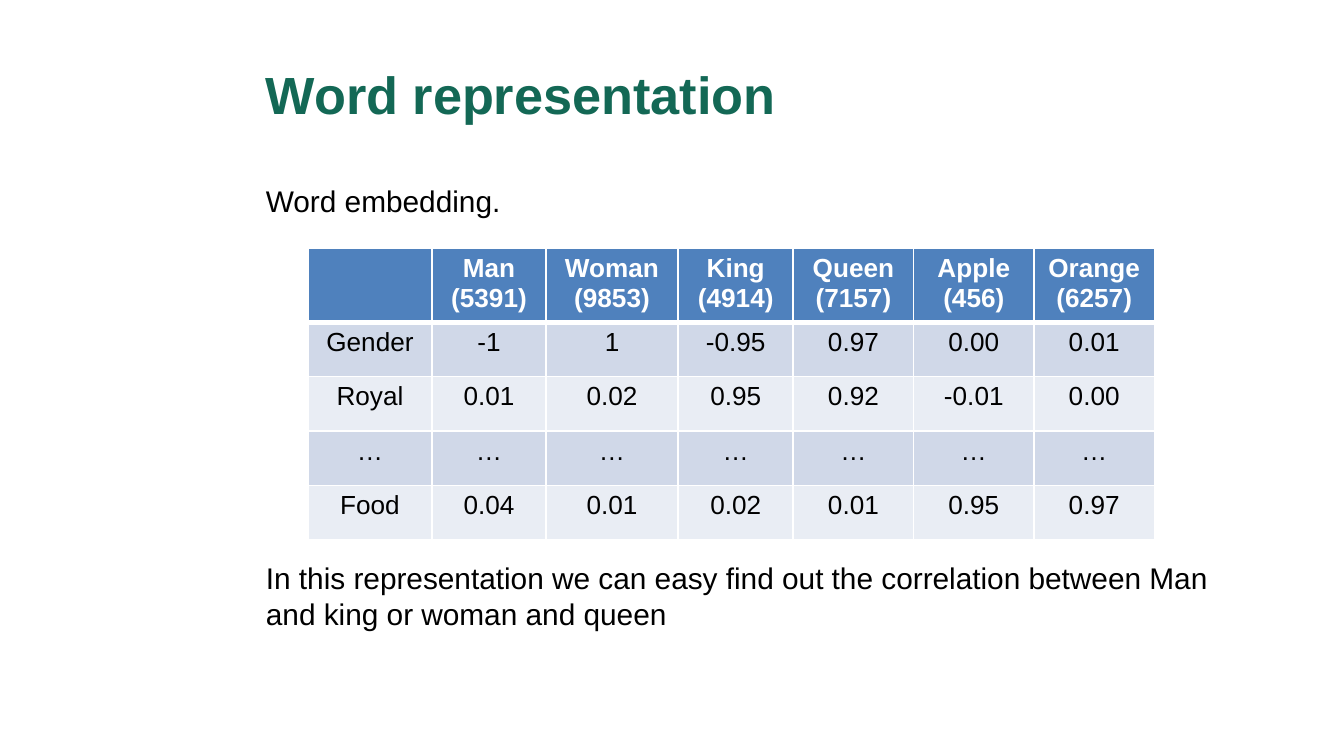
import pptx
import pptx.util
import pptx.dml.color
import pptx.enum.text
import pptx.oxml
import pptx.oxml.ns

FONT = "Arial"
GREEN, BLACK, WHITE = "136855", "000000", "FFFFFF"
HEADER_FILL, BANDS = "4F81BD", ("D0D8E8", "E9EDF4")

# Content
TITLE = "Word representation"
BODY = [  # text, space before in points (the table sits in the gap)
    ("Word embedding.", 1),
    ("In this representation we can easy find out the correlation "
     "between Man and king or woman and queen", 183),
]
ROWS = [
    ["", "Man\n(5391)", "Woman\n(9853)", "King\n(4914)", "Queen\n(7157)",
     "Apple (456)", "Orange (6257)"],
    ["Gender", "-1", "1", "-0.95", "0.97", "0.00", "0.01"],
    ["Royal", "0.01", "0.02", "0.95", "0.92", "-0.01", "0.00"],
    ["…"] * 7,
    ["Food", "0.04", "0.01", "0.02", "0.01", "0.95", "0.97"],
]

# Layout in inches
SLIDE_W = 10
SLIDE_H = SLIDE_W * 9 / 16
LEFT, TEXT_W = 1.88, 7.62
TABLE_LEFT, TABLE_TOP, TABLE_W, TABLE_H = 2.29, 1.85, 6.3, 2.15
COL_SHARES = [93, 85, 99, 86, 90, 90, 90]
COL_WIDTHS = [TABLE_W * share / sum(COL_SHARES) for share in COL_SHARES]
HEADER_H = 0.53
BODY_ROWS = len(ROWS) - 1
ROW_HEIGHTS = [HEADER_H] + [(TABLE_H - HEADER_H) / BODY_ROWS] * BODY_ROWS
CELL_INSET = 0.04

inch, pt = pptx.util.Inches, pptx.util.Pt


def rgb(color):
    return pptx.dml.color.RGBColor.from_string(color)


def style(p, size, color, bold=False):
    p.font.name, p.font.size, p.font.bold = FONT, pt(size), bold
    p.font.color.rgb = rgb(color)


def add_text_box(s, top, height):
    tf = s.shapes.add_textbox(
        inch(LEFT), inch(top), inch(TEXT_W), inch(height)).text_frame
    tf.word_wrap = True
    return tf


def set_borders(cell, **widths):
    tc_pr = cell._tc.get_or_add_tcPr()
    for i, (side, width) in enumerate(widths.items()):
        tc_pr.insert(i, pptx.oxml.parse_xml(
            f'<a:ln{side} {pptx.oxml.ns.nsdecls("a")} w="{pt(width)}">'
            f'<a:solidFill><a:srgbClr val="{WHITE}"/></a:solidFill></a:ln{side}>'))


prs = pptx.Presentation()
prs.slide_width, prs.slide_height = inch(SLIDE_W), inch(SLIDE_H)
s = prs.slides.add_slide(prs.slide_layouts[6])

# Title
tf = add_text_box(s, 0.23, 0.94)
tf.vertical_anchor = pptx.enum.text.MSO_ANCHOR.MIDDLE
tf.text = TITLE
style(tf.paragraphs[0], 28, GREEN, bold=True)

# Body text above and below the table
tf = add_text_box(s, 1.31, 3.71)
tf.text = "\n".join(text for text, _ in BODY)
for p, (_, gap) in zip(tf.paragraphs, BODY):
    p.space_before = pt(gap)
    style(p, 16, BLACK)

# Embedding table
table = s.shapes.add_table(
    len(ROWS), len(COL_WIDTHS), inch(TABLE_LEFT), inch(TABLE_TOP),
    inch(TABLE_W), inch(TABLE_H)).table
for column, width in zip(table.columns, COL_WIDTHS):
    column.width = inch(width)
for r, (row, height) in enumerate(zip(ROWS, ROW_HEIGHTS)):
    table.rows[r].height = inch(height)
    header = r == 0
    for c, text in enumerate(row):
        cell = table.cell(r, c)
        cell.text = text
        cell.margin_top = cell.margin_bottom = inch(CELL_INSET)
        cell.fill.solid()
        cell.fill.fore_color.rgb = rgb(HEADER_FILL if header else BANDS[(r - 1) % 2])
        set_borders(cell, L=1, R=1, T=3 if r == 1 else 1, B=3 if header else 1)
        for p in cell.text_frame.paragraphs:
            p.alignment = pptx.enum.text.PP_ALIGN.CENTER
            style(p, 14, WHITE if header else BLACK, bold=header)

prs.save("out.pptx")
